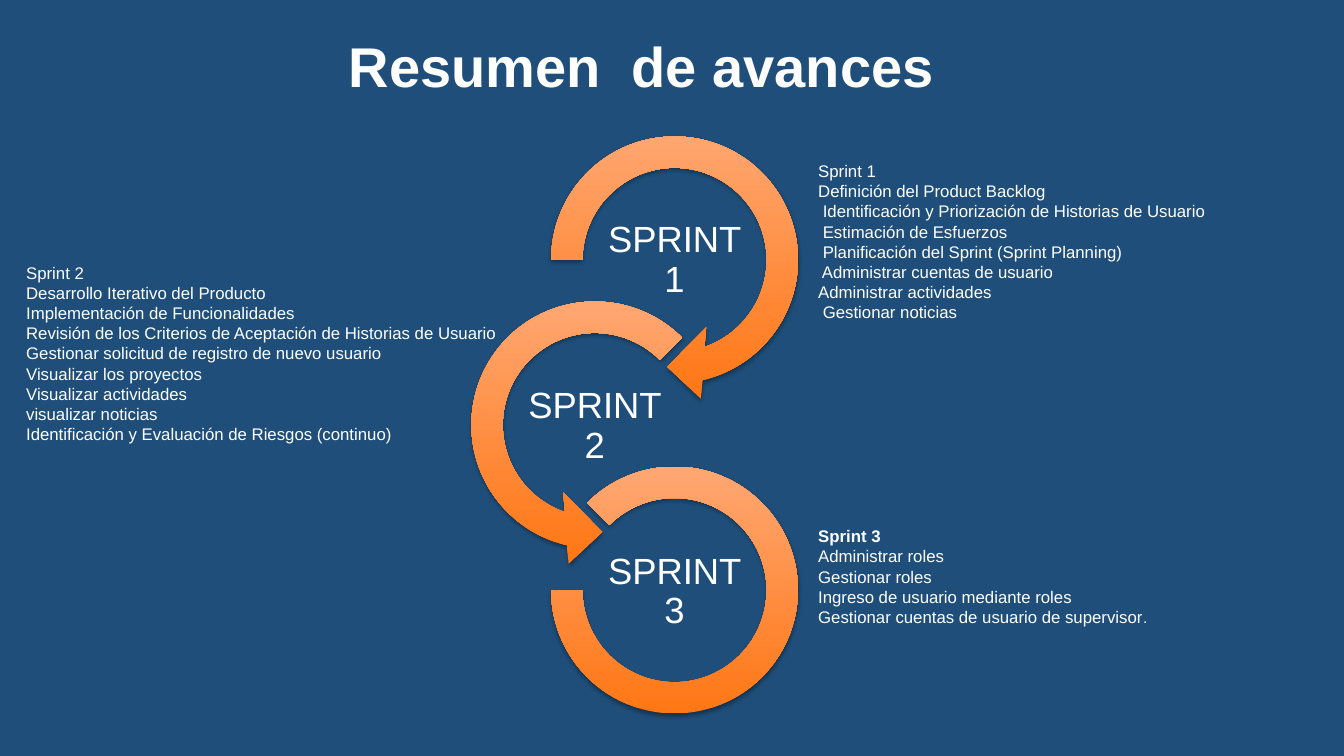
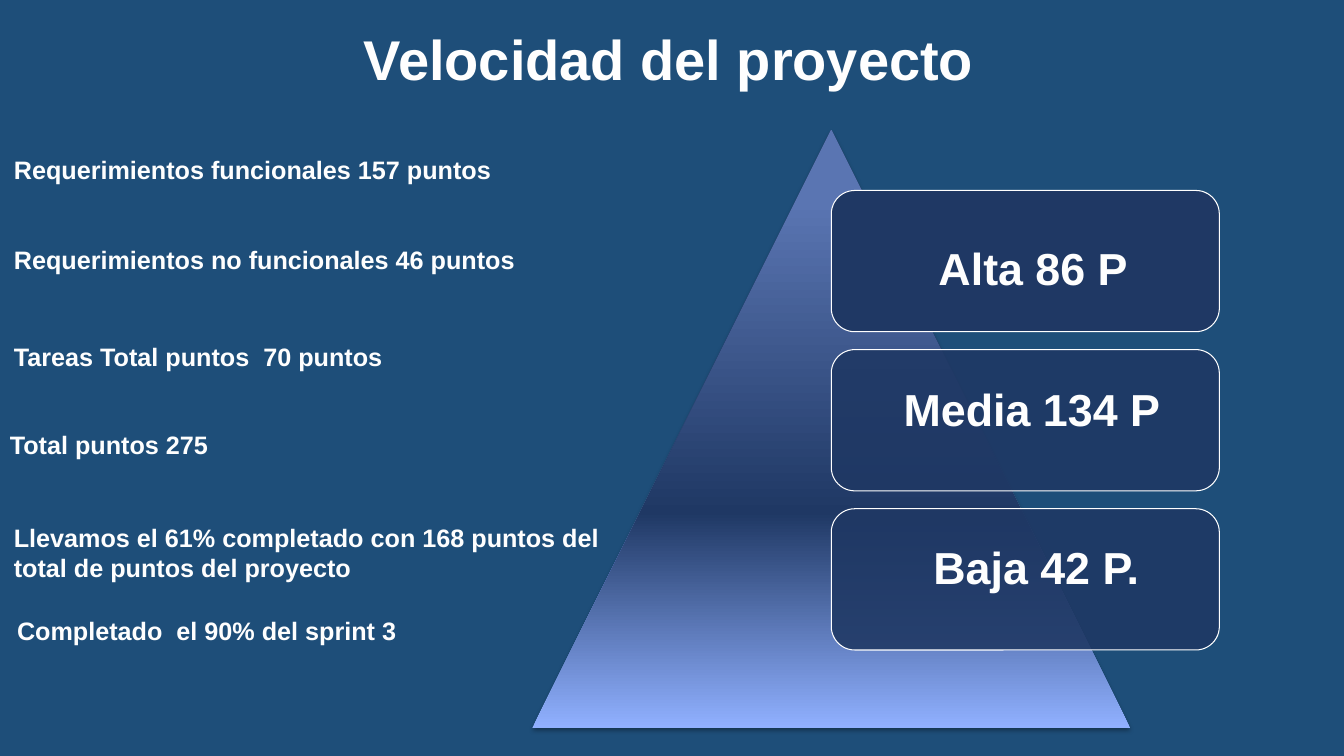
from math import cos, radians, sin, tan

from lxml import etree
from pptx import Presentation
from pptx.dml.color import RGBColor
from pptx.enum.shapes import MSO_SHAPE
from pptx.enum.text import MSO_ANCHOR, PP_ALIGN
from pptx.oxml import parse_xml
from pptx.oxml.ns import nsdecls, qn
from pptx.util import Cm, Pt

LEFT, CENTER = PP_ALIGN.LEFT, PP_ALIGN.CENTER
TOP, MIDDLE = MSO_ANCHOR.TOP, MSO_ANCHOR.MIDDLE
BLOCK_ARC = MSO_SHAPE.BLOCK_ARC
TRIANGLE = MSO_SHAPE.ISOSCELES_TRIANGLE
ROUNDED = MSO_SHAPE.ROUNDED_RECTANGLE

FONT = "Arial"
COLORS = {
    "background": "1E4E79",
    "text": "FFFFFF",
    "heading": "FEFEFE",
    "orange": "FF7714",
    "peach": "FFA773",
    "navy": "1F3864",
    "sky": "90B0FF",
    "slate": "5A75B2",
    "shadow": "000000",
}
RING_STOPS = [(0, "orange"), (100, "peach")]
PYRAMID_STOPS = [(0, "sky"), (36, "navy"), (88, "slate"), (100, "slate")]

RING_RADIUS, HOLE_RADIUS = 3.11, 2.32
# Arrowhead corners as (radius in cm, angle in degrees)
ARROWHEAD = [(3.56, 79.3), (2.7, 94), (1.88, 65)]
ARC_PIECES = 4

SPRINT_1 = [
    "Sprint 1",
    "Definición del Product Backlog",
    " Identificación y Priorización de Historias de Usuario",
    " Estimación de Esfuerzos",
    " Planificación del Sprint (Sprint Planning)",
    " Administrar cuentas de usuario",
    "Administrar actividades",
    " Gestionar noticias",
]
SPRINT_2 = [
    "Sprint 2",
    "Desarrollo Iterativo del Producto",
    "Implementación de Funcionalidades",
    "Revisión de los Criterios de Aceptación de Historias de Usuario",
    "Gestionar solicitud de registro de nuevo usuario",
    "Visualizar los proyectos",
    "Visualizar actividades",
    "visualizar noticias",
    "Identificación y Evaluación de Riesgos (continuo)",
]
SPRINT_3 = [
    "Sprint 3",
    "Administrar roles",
    "Gestionar roles",
    "Ingreso de usuario mediante roles",
    "Gestionar cuentas de usuario de supervisor",
]
# Left, top and width in cm, text
POINTS = [
    (0.1, 3.76, 14.1, "Requerimientos funcionales 157 puntos"),
    (0.1, 6.04, 14.55, "Requerimientos no funcionales 46 puntos"),
    (0.1, 8.48, 12.34, "Tareas Total puntos  70 puntos"),
    (0, 10.69, 12.34, "Total puntos 275"),
    (0.1, 13.03, 15.6, "Llevamos el 61% completado con 168 puntos del total de "
                       "puntos del proyecto"),
    (0.18, 15.37, 10.16, "Completado  el 90% del sprint 3"),
]
# Text, its shift from the card centre in cm, card opacity in percent
PRIORITIES = [
    ("Alta 86 P", 0.2, 0.17, 100),
    ("Media 134 P", 0.17, -0.3, 89),
    ("Baja 42 P.", 0.28, -0.32, 89),
]


def rgb(name):
    return RGBColor.from_string(COLORS[name])


def style(p, size, color="text", bold=False, align=LEFT):
    p.alignment = align
    p.font.name = FONT
    p.font.size = Pt(size)
    p.font.bold = bold
    p.font.color.rgb = rgb(color)


def add_text(s, left, top, width, height, lines, size, color="text",
             bold=False, align=LEFT, anchor=TOP):
    tf = s.shapes.add_textbox(Cm(left), Cm(top), Cm(width), Cm(height)).text_frame
    tf.word_wrap = True
    tf.vertical_anchor = anchor
    tf.text = "\n".join(lines)
    for p in tf.paragraphs:
        style(p, size, color, bold, align)
    return tf


def add_title(s, left, top, text):
    add_text(s, left, top, 16.5, 1.96, [text], 40, "heading", True, CENTER)


def glow(shape, stops):
    """Give a shape an upward gradient, no outline and a soft shadow."""
    shape.fill.background()
    shape.line.fill.background()
    shape.shadow.inherit = False
    sp_pr = shape._element.spPr
    gs = "".join(
        f'<a:gs pos="{pos * 1000}"><a:srgbClr val="{COLORS[name]}"/></a:gs>'
        for pos, name in stops)
    grad = parse_xml(
        f'<a:gradFill {nsdecls("a")} rotWithShape="1"><a:gsLst>{gs}</a:gsLst>'
        '<a:lin ang="16200000" scaled="0"/></a:gradFill>')
    sp_pr.replace(sp_pr.find(qn("a:noFill")), grad)
    sp_pr.find(qn("a:effectLst")).append(parse_xml(
        f'<a:outerShdw {nsdecls("a")} blurRad="{Pt(3.1)}" dist="{Pt(1.8)}" '
        'dir="5400000" rotWithShape="0">'
        f'<a:srgbClr val="{COLORS["shadow"]}"><a:alpha val="35000"/></a:srgbClr>'
        '</a:outerShdw>'))


def polar(radius, angle):
    return radius * cos(radians(angle)), radius * sin(radians(angle))


def arc(radius, start, end):
    """Return the start point, then three Bézier points for each piece."""
    step = (end - start) / ARC_PIECES
    k = 4 / 3 * tan(radians(step / 4))
    points = [polar(radius, start)]
    for i in range(ARC_PIECES):
        x0, y0 = points[-1]
        x1, y1 = polar(radius, start + (i + 1) * step)
        points += [(x0 - k * y0, y0 + k * x0), (x1 + k * y1, y1 - k * x1), (x1, y1)]
    return points


def curve(lines):
    """Turn each three line segments into one Bézier curve."""
    for i in range(0, len(lines), 3):
        bezier = etree.Element(qn("a:cubicBezTo"))
        lines[i].addprevious(bezier)
        for line in lines[i:i + 3]:
            bezier.append(line[0])
            line.getparent().remove(line)


def add_ring_arrow(s, cx, cy, start, side):
    """Draw a ring from the start angle to its arrowhead; side -1 mirrors it."""
    outer = arc(RING_RADIUS, start, 437)
    inner = arc(HOLE_RADIUS, 431, start)
    head = [polar(*corner) for corner in ARROWHEAD]
    points = [(Cm(cx + side * x), Cm(cy + y)) for x, y in outer + head + inner]
    builder = s.shapes.build_freeform(*points[0])
    builder.add_line_segments(points[1:], close=True)
    shape = builder.convert_to_shape()
    lines = list(shape._element.spPr.iter(qn("a:lnTo")))
    size = 3 * ARC_PIECES
    curve(lines[:size])
    inner_start = size + len(head) + 1
    curve(lines[inner_start:inner_start + size])
    glow(shape, RING_STOPS)


def add_closing_ring(s, cx, cy):
    ring = s.shapes.add_shape(BLOCK_ARC, Cm(cx - RING_RADIUS), Cm(cy - RING_RADIUS),
                              Cm(2 * RING_RADIUS), Cm(2 * RING_RADIUS))
    thickness = (RING_RADIUS - HOLE_RADIUS) / (2 * RING_RADIUS)
    for i, value in enumerate((135, 108, thickness)):
        ring.adjustments[i] = value
    glow(ring, RING_STOPS)


def add_ring_label(s, cx, cy, text):
    width, height = 4, 2
    tf = add_text(s, cx - width / 2, cy - height / 2, width, height, [text], 26,
                  align=CENTER, anchor=MIDDLE)
    tf.margin_left = tf.margin_right = tf.margin_top = tf.margin_bottom = Cm(0.05)
    tf.paragraphs[0].line_spacing = 0.9


def add_sprint_chain(s, cx, cy, step, shift):
    """Chain three rings downwards from the first centre, the second set left."""
    centers = [(cx, cy), (cx - shift, cy + step), (cx, cy + 2 * step)]
    add_ring_arrow(s, *centers[0], 180, 1)
    add_ring_arrow(s, *centers[1], 225, -1)
    add_closing_ring(s, *centers[2])
    for number, (x, y) in enumerate(centers, 1):
        add_ring_label(s, x, y + 0.02 * number, f"SPRINT {number}")


def add_card(s, left, top, width, height, text, dx, dy, opacity):
    card = s.shapes.add_shape(ROUNDED, Cm(left), Cm(top), Cm(width), Cm(height))
    card.shadow.inherit = False
    card.fill.solid()
    card.fill.fore_color.rgb = rgb("navy")
    card.line.color.rgb = rgb("text")
    card.line.width = Pt(0.75)
    if opacity < 100:
        color = card._element.spPr.find(qn("a:solidFill"))[0]
        etree.SubElement(color, qn("a:alpha")).set("val", str(opacity * 1000))
    tf = card.text_frame
    tf.vertical_anchor = MIDDLE
    tf.margin_left, tf.margin_right = Cm(2 * dx), 0
    tf.margin_top, tf.margin_bottom = Cm(max(0, 2 * dy)), Cm(max(0, -2 * dy))
    tf.text = text
    style(tf.paragraphs[0], 32, "heading", True, CENTER)


def add_pyramid(s, left, top, side):
    """Draw the triangle, with cards that start at its axis."""
    triangle = s.shapes.add_shape(TRIANGLE, Cm(left), Cm(top), Cm(side), Cm(side))
    glow(triangle, PYRAMID_STOPS)
    height, pitch = 3.56, 4.01
    for i, priority in enumerate(PRIORITIES):
        add_card(s, left + side / 2, top + 1.52 + i * pitch, 9.78, height, *priority)


def build_summary(s):
    add_title(s, 7.91, 0.66, "Resumen  de avances")
    add_sprint_chain(s, 17, 6.55, 4.16, 2.01)
    add_text(s, 20.37, 3.93, 10.36, 4.3, SPRINT_1, 12)
    add_text(s, 0.41, 6.49, 16.94, 4.88, SPRINT_2, 12)
    tf = add_text(s, 20.37, 13.13, 11, 2.82, SPRINT_3, 12)
    tf.paragraphs[0].font.bold = True
    r = tf.paragraphs[-1].add_run()
    r.text = "."
    r.font.size = Pt(11)


def build_velocity(s):
    add_title(s, 8.6, 0.5, "Velocidad del proyecto")
    add_pyramid(s, 13.42, 3.28, 15.06)
    for left, top, width, text in POINTS:
        add_text(s, left, top, width, 1.02, [text], 18, "heading", True)


def main():
    prs = Presentation()
    prs.slide_width, prs.slide_height = Cm(33.87), Cm(19.05)
    fill = prs.slide_master.background.fill
    fill.solid()
    fill.fore_color.rgb = rgb("background")
    for build in (build_summary, build_velocity):
        build(prs.slides.add_slide(prs.slide_layouts[6]))
    prs.save("out.pptx")


if __name__ == "__main__":
    main()
